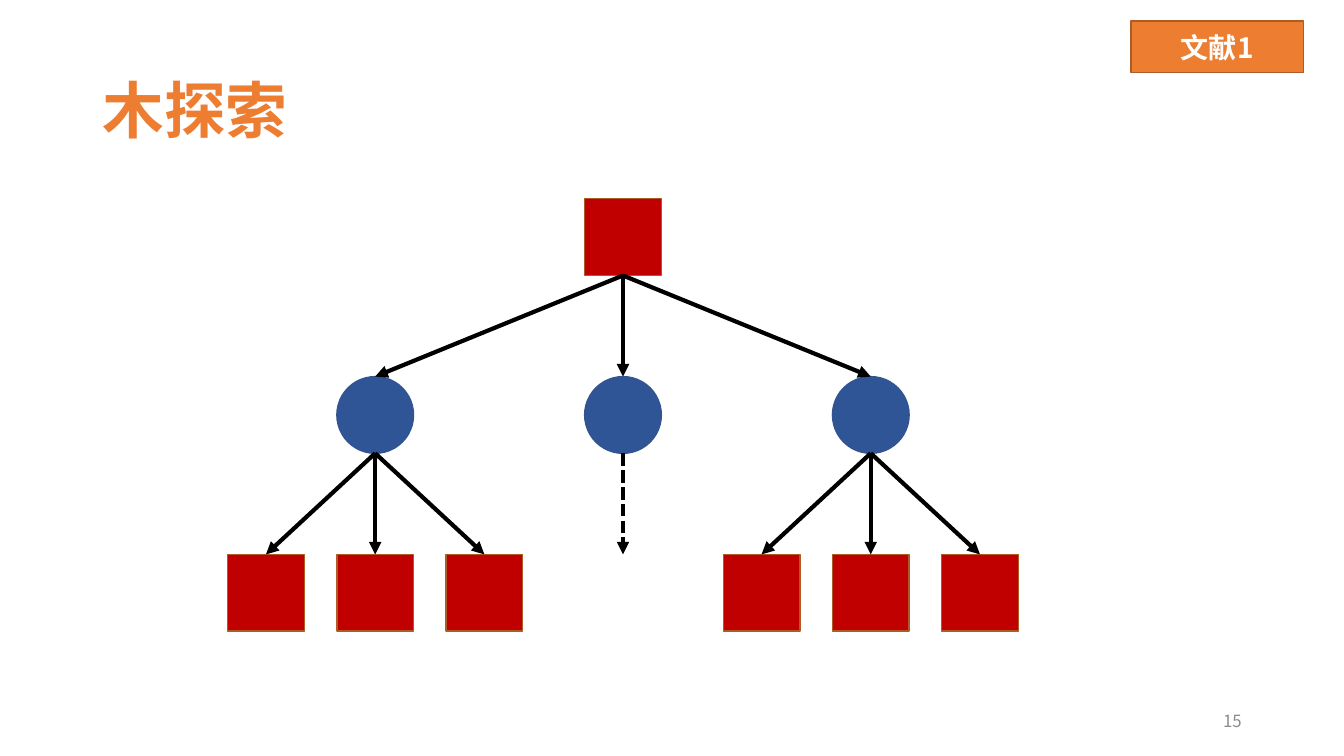
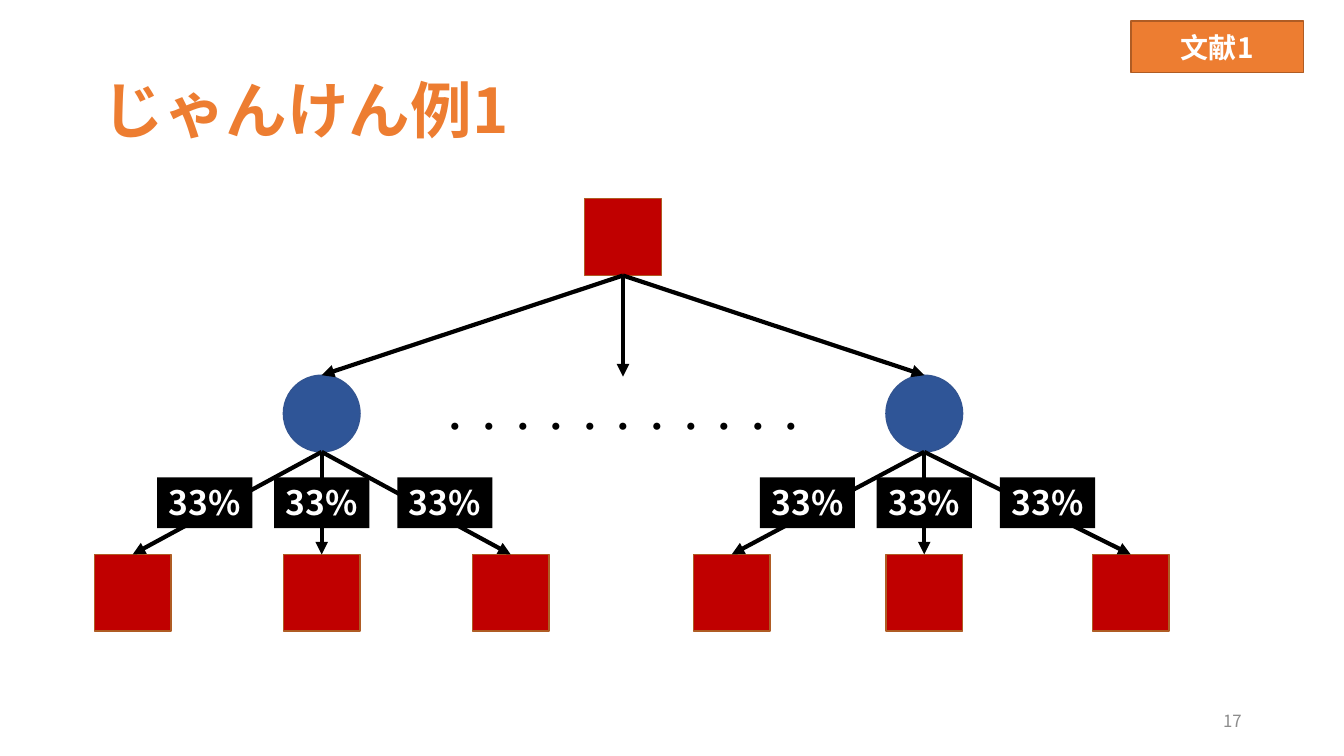
from lxml import etree
from pptx import Presentation
from pptx.dml.color import RGBColor
from pptx.enum import dml, shapes, text
from pptx.oxml.ns import qn
from pptx.util import Pt

# Shared style
FONT = "Noto Sans CJK JP"
ORANGE, BROWN, RED = "ED7D31", "AF5C24", "C00000"
BLUE, BLUE_EDGE = "2F5597", "325491"
BLACK, WHITE, GRAY = "000000", "FFFFFF", "8C8C8C"
RECT, OVAL = shapes.MSO_SHAPE.RECTANGLE, shapes.MSO_SHAPE.OVAL
LEFT, CENTER, RIGHT = text.PP_ALIGN.LEFT, text.PP_ALIGN.CENTER, text.PP_ALIGN.RIGHT
TOP, MIDDLE = text.MSO_ANCHOR.TOP, text.MSO_ANCHOR.MIDDLE

# Tree measures
NODE = 54.8
ROOT_X, ROOT_Y, ARROW_END_Y, LEAF_Y = 445, 142, 269, 396
LABEL_Y, LABEL_WIDTH, LABEL_HEIGHT = 341, 68, 36.3
LABEL_OFFSETS = (-83.5, 0, 88)

# Content: each branch has its offset from the root and its leaves' offsets
TAG = "文献1"
SLIDES = [
    {
        "title": "木探索", "number": "15", "circle_y": 269,
        "branches": [(-177, (-78, 0, 78)), (177, (-78, 0, 78))],
        "middle_circle": True, "label": None, "dots": None,
    },
    {
        "title": "じゃんけん例1", "number": "17", "circle_y": 268,
        "branches": [(-215.2, (-135, 0, 135)), (215.2, (-137.5, 0, 147.5))],
        "middle_circle": False, "label": "33%", "dots": "・・・・・・・・・・・",
    },
]


def color(value):
    return RGBColor.from_string(value)


def write(frame, words, size, fill, bold=False, align=CENTER, anchor=MIDDLE):
    frame.word_wrap = True
    frame.vertical_anchor = anchor
    frame.text = words
    paragraph = frame.paragraphs[0]
    paragraph.alignment = align
    font = paragraph.font
    font.name, font.size, font.bold = FONT, Pt(size), bold
    font.color.rgb = color(fill)
    properties = paragraph._p.pPr.find(qn("a:defRPr"))
    etree.SubElement(properties, qn("a:ea"), typeface=FONT)
    return paragraph


def add_box(slide, kind, left, top, width, height, fill, edge=None):
    shape = slide.shapes.add_shape(kind, Pt(left), Pt(top), Pt(width), Pt(height))
    shape.shadow.inherit = False
    shape.fill.solid()
    shape.fill.fore_color.rgb = color(fill)
    if edge:
        shape.line.color.rgb = color(edge)
        shape.line.width = Pt(1)
    else:
        shape.line.fill.background()
    return shape


def add_text(slide, left, top, width, height, words, size, fill, **style):
    box = slide.shapes.add_textbox(Pt(left), Pt(top), Pt(width), Pt(height))
    write(box.text_frame, words, size, fill, **style)


def add_square(slide, center, top):
    add_box(slide, RECT, center - NODE / 2, top, NODE, NODE, RED, BROWN)


def add_circle(slide, center, top):
    add_box(slide, OVAL, center - NODE / 2, top, NODE, NODE, BLUE, BLUE_EDGE)


def add_arrow(slide, x1, y1, x2, y2, dashed=False):
    arrow = slide.shapes.add_connector(
        shapes.MSO_CONNECTOR.STRAIGHT, Pt(x1), Pt(y1), Pt(x2), Pt(y2))
    arrow.line.color.rgb = color(BLACK)
    arrow.line.width = Pt(3)
    if dashed:
        arrow.line.dash_style = dml.MSO_LINE.SQUARE_DOT
    properties = arrow._element.spPr
    etree.SubElement(properties.find(qn("a:ln")), qn("a:tailEnd"), type="triangle")
    etree.SubElement(properties, qn("a:effectLst"))


def add_frame(slide, title, number):
    """Title, reference tag and page number."""
    heading = slide.shapes.title
    heading.left, heading.top = Pt(66), Pt(28.8)
    heading.width, heading.height = Pt(828), Pt(104.4)
    heading.text_frame.auto_size = text.MSO_AUTO_SIZE.NONE
    paragraph = write(heading.text_frame, title, 44, ORANGE, bold=True, align=LEFT)
    paragraph.line_spacing = 0.9
    tag = add_box(slide, RECT, 808, 15, 123, 37, ORANGE, BROWN)
    write(tag.text_frame, TAG, 20, WHITE, bold=True)
    add_text(slide, 678, 500.5, 216, 28.8, number, 12, GRAY, align=RIGHT)


def add_tree(slide, content):
    circle_y = content["circle_y"]
    root_bottom, circle_bottom = ROOT_Y + NODE, circle_y + NODE
    add_square(slide, ROOT_X, ROOT_Y)

    # Middle branch
    add_arrow(slide, ROOT_X, root_bottom, ROOT_X, ARROW_END_Y)
    if content["middle_circle"]:
        add_circle(slide, ROOT_X, circle_y)
        add_arrow(slide, ROOT_X, circle_bottom, ROOT_X, LEAF_Y, dashed=True)
    if content["dots"]:
        add_text(slide, 280, 286.5, 331, 36.3, content["dots"], 24, BLACK, anchor=TOP)

    # Outer branches
    for branch, leaves in content["branches"]:
        center = ROOT_X + branch
        add_circle(slide, center, circle_y)
        add_arrow(slide, ROOT_X, root_bottom, center, circle_y)
        for leaf in leaves:
            add_square(slide, center + leaf, LEAF_Y)
            add_arrow(slide, center, circle_bottom, center + leaf, LEAF_Y)
        if content["label"]:
            for offset in LABEL_OFFSETS:
                label = add_box(slide, RECT, center + offset - LABEL_WIDTH / 2,
                                LABEL_Y, LABEL_WIDTH, LABEL_HEIGHT, BLACK)
                write(label.text_frame, content["label"], 24, WHITE, bold=True, anchor=TOP)


def main():
    presentation = Presentation()
    presentation.slide_width, presentation.slide_height = Pt(960), Pt(540)
    title_only = presentation.slide_layouts[5]
    for content in SLIDES:
        slide = presentation.slides.add_slide(title_only)
        add_frame(slide, content["title"], content["number"])
        add_tree(slide, content)
    presentation.save("out.pptx")


if __name__ == "__main__":
    main()
